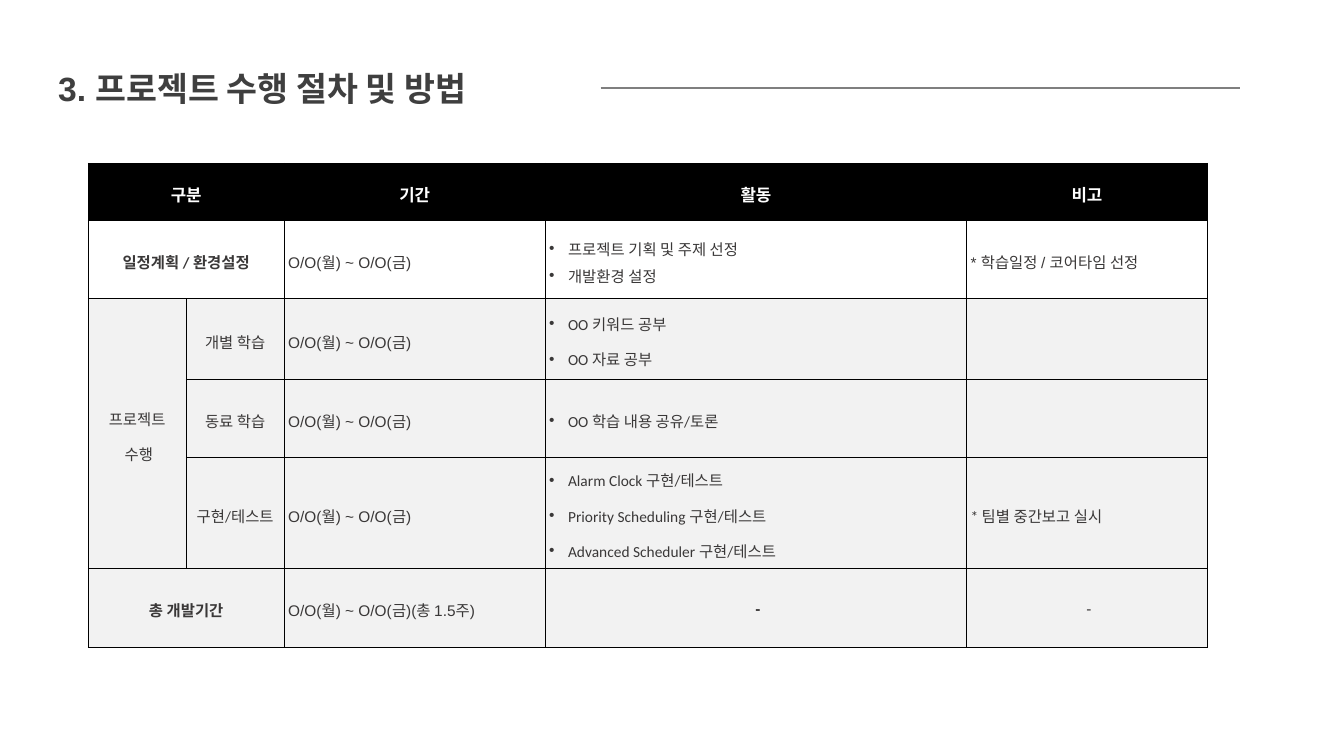
from collections import namedtuple

from lxml.etree import SubElement
from pptx import Presentation
from pptx.dml.color import RGBColor
from pptx.enum.shapes import MSO_CONNECTOR
from pptx.enum.text import MSO_ANCHOR, MSO_AUTO_SIZE, PP_ALIGN
from pptx.oxml import parse_xml
from pptx.oxml.ns import nsdecls, qn
from pptx.util import Pt

COLORS = {
    "title": "3F3F3F",
    "rule": "7F7F7F",
    "head": "000000",
    "head_text": "FFFFFF",
    "text": "3A3838",
    "plan": "FFFFFF",
    "work": "F2F2F2",
    "border": "000000",
}
Box = namedtuple("Box", "left top width height")
Style = namedtuple("Style", "font bold align bullet", defaults=("Calibri", False, PP_ALIGN.LEFT, False))

HEAD = Style("Arial", True, PP_ALIGN.CENTER)
STAGE = Style("Calibri", True, PP_ALIGN.CENTER)
TOTAL = Style("Arial", True, PP_ALIGN.CENTER)
STEP = Style("Calibri", False, PP_ALIGN.CENTER)
PERIOD = Style("Arial")
TASKS = Style(bullet=True)
PLAN_TASKS = Style("Arial", bullet=True)
REMARK = Style()
PLAN_REMARK = Style("Arial")
DASH = Style("Arial", False, PP_ALIGN.CENTER)

COLUMN_WIDTHS = [70, 70, 186.5, 301, 172]
ROW_HEIGHTS = [41, 56, 57.5, 56, 79.5, 56]
MERGES = [((0, 0), (0, 1)), ((1, 0), (1, 1)), ((2, 0), (4, 0)), ((5, 0), (5, 1))]
WEEK = "O/O(월) ~ O/O(금)"
ENTRIES = [
    {0: (HEAD, ["구분"]), 2: (HEAD, ["기간"]), 3: (HEAD, ["활동"]), 4: (HEAD, ["비고"])},
    {0: (STAGE, ["일정계획 / 환경설정"]), 2: (PERIOD, [WEEK]),
     3: (PLAN_TASKS, ["프로젝트 기획 및 주제 선정", "개발환경 설정"]),
     4: (PLAN_REMARK, ["* 학습일정 / 코어타임 선정"])},
    {0: (STEP, ["프로젝트", " 수행"]), 1: (STEP, ["개별 학습"]), 2: (PERIOD, [WEEK]),
     3: (TASKS, ["OO 키워드 공부", "OO 자료 공부"])},
    {1: (STEP, ["동료 학습"]), 2: (PERIOD, [WEEK]), 3: (TASKS, ["OO 학습 내용 공유/토론"])},
    {1: (STEP, ["구현/테스트"]), 2: (PERIOD, [WEEK]),
     3: (TASKS, [f"{topic} 구현/테스트" for topic in
                 ("Alarm Clock", "Priority Scheduling", "Advanced Scheduler")]),
     4: (REMARK, ["* 팀별 중간보고 실시"])},
    {0: (TOTAL, ["총 개발기간"]), 2: (PERIOD, [WEEK + "(총 1.5주)"]),
     3: (TOTAL, ["-"]), 4: (DASH, ["-"])},
]


def color(name):
    """Return the named colour."""
    return RGBColor.from_string(COLORS[name])


def set_font(para, face, size, bold, color_name):
    """Set the font of a paragraph."""
    font = para.font
    font.name, font.size, font.bold = face, Pt(size), bold
    font.color.rgb = color(color_name)


def add_bullet(para):
    """Give a paragraph a hanging round bullet."""
    properties = para._p.get_or_add_pPr()
    properties.set("marL", str(Pt(13.5)))
    properties.set("indent", str(-Pt(13.5)))
    bullet_color = SubElement(properties, qn("a:buClr"))
    SubElement(bullet_color, qn("a:srgbClr"), val=COLORS["text"])
    SubElement(properties, qn("a:buFont"), typeface="Arial")
    SubElement(properties, qn("a:buChar"), char="•")


def add_borders(cell):
    """Draw a thin line on every side of a cell."""
    properties = cell._tc.get_or_add_tcPr()
    for position, side in enumerate(("lnL", "lnR", "lnT", "lnB")):
        properties.insert(position, parse_xml(
            f'<a:{side} {nsdecls("a")} w="{Pt(0.75)}"><a:solidFill>'
            f'<a:srgbClr val="{COLORS["border"]}"/></a:solidFill></a:{side}>'))


def fill_cell(cell, style, lines, size, color_name, gap):
    """Write styled lines into a cell."""
    for index, line in enumerate(lines):
        para = cell.text_frame.paragraphs[0] if index == 0 else cell.text_frame.add_paragraph()
        para.text = line
        para.alignment = style.align
        para.line_spacing = 1.2
        if index and gap:
            para.space_before = Pt(gap)
        set_font(para, style.font, size, style.bold, color_name)
        if style.bullet:
            add_bullet(para)


def add_heading(page, box):
    """Place the title at the left and the rule at the right of the box."""
    title = page.shapes.add_textbox(Pt(box.left), Pt(box.top), Pt(366.5), Pt(box.height))
    frame = title.text_frame
    frame.word_wrap = True
    frame.auto_size = MSO_AUTO_SIZE.SHAPE_TO_FIT_TEXT
    para = frame.paragraphs[0]
    para.text = "3. 프로젝트 수행 절차 및 방법"
    set_font(para, "Arial", 24, True, "title")

    right, middle = box.left + box.width, box.top + box.height / 2
    rule = page.shapes.add_connector(
        MSO_CONNECTOR.STRAIGHT, Pt(right - 456.5), Pt(middle), Pt(right), Pt(middle))
    rule.line.color.rgb = color("rule")
    rule.line.width = Pt(1)
    SubElement(rule._element.spPr, qn("a:effectLst"))


def add_schedule(page, box):
    """Place the schedule table in the box."""
    table = page.shapes.add_table(
        len(ROW_HEIGHTS), len(COLUMN_WIDTHS),
        Pt(box.left), Pt(box.top), Pt(box.width), Pt(box.height)).table
    table.first_row = table.horz_banding = False
    for column, width in zip(table.columns, COLUMN_WIDTHS):
        column.width = Pt(width * box.width / sum(COLUMN_WIDTHS))
    for row, height in zip(table.rows, ROW_HEIGHTS):
        row.height = Pt(height * box.height / sum(ROW_HEIGHTS))
    for first, last in MERGES:
        table.cell(*first).merge(table.cell(*last))

    for row_index, entries in enumerate(ENTRIES):
        is_head = row_index == 0
        background = ("head", "plan")[row_index] if row_index < 2 else "work"
        for column_index in range(len(COLUMN_WIDTHS)):
            cell = table.cell(row_index, column_index)
            cell.fill.solid()
            cell.fill.fore_color.rgb = color(background)
            cell.vertical_anchor = MSO_ANCHOR.MIDDLE
            add_borders(cell)
            if not is_head and column_index > 1:
                cell.margin_left = Pt(2.8)
                cell.margin_right = cell.margin_top = cell.margin_bottom = 0
            if column_index in entries:
                style, lines = entries[column_index]
                fill_cell(cell, style, lines, 12 if is_head else 11,
                          "head_text" if is_head else "text", 6 if row_index > 1 else 0)


def main():
    """Build the slide and save it."""
    deck = Presentation()
    deck.slide_width, deck.slide_height = Pt(960), Pt(540)
    page = deck.slides.add_slide(deck.slide_layouts[6])
    add_heading(page, Box(34.5, 45, 851, 36))
    add_schedule(page, Box(63, 116.6, 799.5, 345.6))
    deck.save("out.pptx")


if __name__ == "__main__":
    main()
